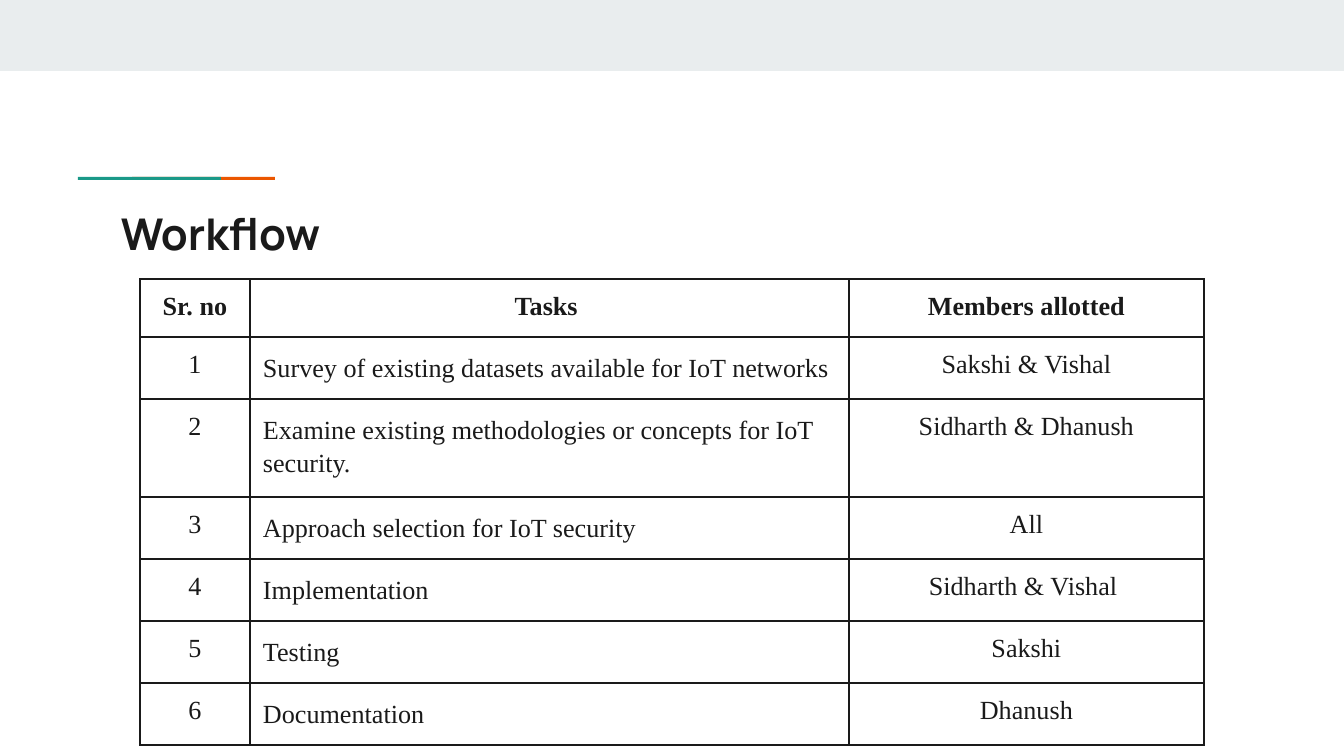
import pptx
import pptx.dml.color
import pptx.enum.shapes
import pptx.enum.text
import pptx.oxml
import pptx.oxml.ns
import pptx.util

SCALE = 914400 / 134.4
COLOURS = {"band": "E9EDEE", "teal": "1A9988", "orange": "EB5600", "ink": "1A1A1A"}
INSET = 13
CENTER = pptx.enum.text.PP_ALIGN.CENTER
LEFT = pptx.enum.text.PP_ALIGN.LEFT


def px(*lengths):
    """Turn pixel lengths into a list of EMU."""
    return [pptx.util.Emu(round(length * SCALE)) for length in lengths]


def write(para, text, font_format, para_format):
    span = para.add_run()
    span.text = text
    span.font.color.rgb = pptx.dml.color.RGBColor.from_string(COLOURS["ink"])
    for name, value in font_format.items():
        setattr(span.font, name, value)
    for name, value in para_format.items():
        setattr(para, name, value)


deck = pptx.Presentation()
deck.slide_width, deck.slide_height = px(1344, 756)
page = deck.slides.add_slide(deck.slide_layouts[6])

# Header band and two-colour accent line
for colour, bounds in [
    ("band", (0, 0, 1344, 71)),
    ("orange", (132, 177, 143, 3)),
    ("teal", (78, 177, 143, 3)),
]:
    bar = page.shapes.add_shape(pptx.enum.shapes.MSO_SHAPE.RECTANGLE, *px(*bounds))
    bar.shadow.inherit = False
    bar.fill.solid()
    bar.fill.fore_color.rgb = pptx.dml.color.RGBColor.from_string(COLOURS[colour])
    bar.line.fill.background()

# Title
margins = dict.fromkeys(
    ("margin_left", "margin_top", "margin_right", "margin_bottom"), px(INSET)[0]
)
title = page.shapes.add_textbox(*px(108, 194, 1130, 79)).text_frame
title.word_wrap = True
for name, value in margins.items():
    setattr(title, name, value)
title_font = {"name": "Manrope", "size": pptx.util.Pt(23.4), "bold": True}
write(title.paragraphs[0], "Workflow", title_font, {"alignment": LEFT})

# Task table
rows = [
    ("Sr. no", "Tasks ", "Members allotted"),
    ("1", "Survey of existing datasets available for IoT networks", "Sakshi & Vishal"),
    ("2", "Examine existing methodologies or concepts for IoT security.", "Sidharth & Dhanush"),
    ("3", "Approach selection for IoT security", "All"),
    ("4", "Implementation", "Sidharth & Vishal "),
    ("5", "Testing", "Sakshi"),
    ("6", "Documentation", "Dhanush"),
]
column_widths = (110, 599, 355)
row_heights = (58, 60, 93, 60, 60, 60, 60)
centred_format = {"alignment": CENTER}
task_format = {"alignment": LEFT, "line_spacing": 1.15, "space_after": pptx.util.Pt(12)}

table = page.shapes.add_table(
    len(rows), len(column_widths),
    *px(140, 279, sum(column_widths), sum(row_heights)),
).table
table.first_row = table.horz_banding = False
for column, width in zip(table.columns, px(*column_widths)):
    column.width = width
for row, height in zip(table.rows, px(*row_heights)):
    row.height = height

for row_index, texts in enumerate(rows):
    for column_index, text in enumerate(texts):
        cell = table.cell(row_index, column_index)
        for name, value in margins.items():
            setattr(cell, name, value)
        cell.fill.background()
        is_header = row_index == 0
        is_task = column_index == 1 and not is_header
        cell_font = {
            "name": "Times New Roman", "size": pptx.util.Pt(14), "bold": is_header,
        }
        write(cell.text_frame.paragraphs[0], text, cell_font,
              task_format if is_task else centred_format)
        properties = cell._tc.get_or_add_tcPr()
        for order, side in enumerate("LRTB"):
            border = pptx.oxml.parse_xml(
                f'<a:ln{side} {pptx.oxml.ns.nsdecls("a")} w="{pptx.util.Pt(0.75)}">'
                f'<a:solidFill><a:srgbClr val="{COLOURS["ink"]}"/></a:solidFill>'
                f'</a:ln{side}>'
            )
            properties.insert(order, border)

deck.save("out.pptx")
